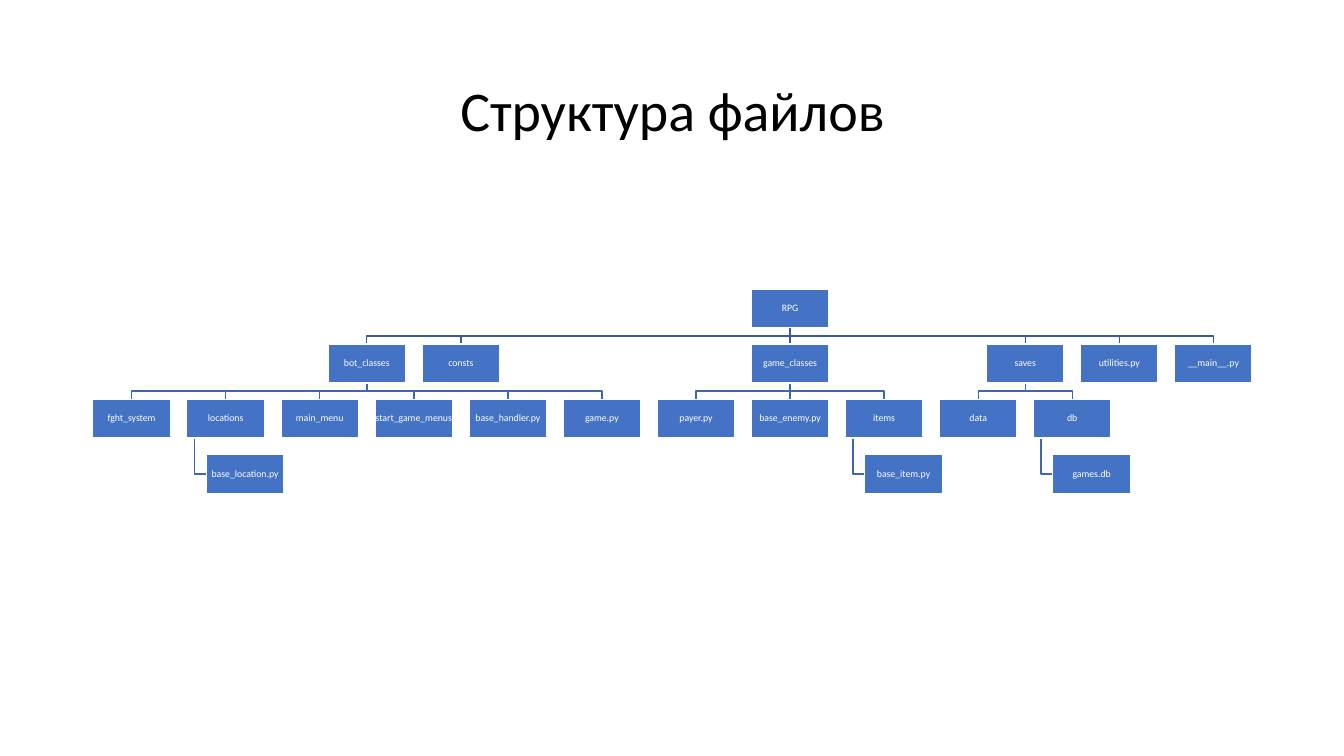
"""Build a slide showing the file structure of a project as a tree."""
import pptx
import pptx.dml.color
import pptx.enum.shapes
import pptx.enum.text
import pptx.oxml
import pptx.util

Inches, Pt = pptx.util.Inches, pptx.util.Pt

TITLE = "Структура файлов"
TREE = ("RPG", [
    ("bot_classes", [
        ("fght_system", []),
        ("locations", [("base_location.py", [])]),
        ("main_menu", []),
        ("start_game_menus", []),
        ("base_handler.py", []),
        ("game.py", []),
    ]),
    ("consts", []),
    ("game_classes", [
        ("payer.py", []),
        ("base_enemy.py", []),
        ("items", [("base_item.py", [])]),
    ]),
    ("saves", [
        ("data", []),
        ("db", [("games.db", [])]),
    ]),
    ("utilities.py", []),
    ("__main__.py", []),
])
COLORS = {"box": "4472C4", "white": "FFFFFF", "title": "000000",
          "root_link": "365B9D", "link": "3E67B2"}
FONT = "Calibri"

LEFT, WIDTH, MIDDLE = 0.92, 11.5, 3.88
LAST_COL = 11.5
BOX_W = WIDTH / (1.21 * LAST_COL + 1)
BOX_H = BOX_W / 2
COL, ROW = 1.21 * BOX_W, 0.71 * BOX_W
TOP = MIDDLE - (3 * ROW + BOX_H) / 2
HANG_IN, HANG_LINE = BOX_W / 4, BOX_W / 10


def color(name):
    return pptx.dml.color.RGBColor.from_string(COLORS[name])


def style_text(tf, size, name):
    tf.vertical_anchor = pptx.enum.text.MSO_ANCHOR.MIDDLE
    p = tf.paragraphs[0]
    p.alignment = pptx.enum.text.PP_ALIGN.CENTER
    p.line_spacing = 0.9
    font = p.runs[0].font
    font.name, font.size = FONT, Pt(size)
    font.color.rgb = color(name)


def place_tree():
    """Return box positions by name and the parent-child links."""
    boxes, links = {}, []
    root, folders = TREE
    next_leaf, folder_cols = 0, []
    for folder, items in folders:
        if items:
            first = next_leaf
            for item, files in items:
                x = LEFT + next_leaf * COL
                boxes[item] = (x, TOP + 2 * ROW)
                links.append((folder, item))
                for file, _ in files:
                    boxes[file] = (x + HANG_IN, TOP + 3 * ROW)
                    links.append((item, file))
                next_leaf += 1
            col = (first + next_leaf - 1) / 2
        else:
            col = folder_cols[-1] + 1
        folder_cols.append(col)
        boxes[folder] = (LEFT + col * COL, TOP + ROW)
        links.append((root, folder))
    boxes[root] = (LEFT + (folder_cols[0] + folder_cols[-1]) / 2 * COL, TOP)
    return boxes, links


def link_points(parent, child):
    (px, py), (cx, cy) = parent, child
    bottom = py + BOX_H
    if cy > TOP + 2.5 * ROW:
        x, y = px + HANG_LINE, cy + BOX_H / 2
        return [(x, bottom), (x, y), (cx, y)]
    x1, x2 = px + BOX_W / 2, cx + BOX_W / 2
    if abs(x1 - x2) < 0.01:
        return [(x1, bottom), (x2, cy)]
    bend = (bottom + cy) / 2
    return [(x1, bottom), (x1, bend), (x2, bend), (x2, cy)]


def add_link(slide, points, name):
    points = [(Inches(x), Inches(y)) for x, y in points]
    if len(points) == 2:
        sp = slide.shapes.add_connector(
            pptx.enum.shapes.MSO_CONNECTOR.STRAIGHT, *points[0], *points[1])
        sp._element.spPr.append(pptx.oxml.parse_xml(
            '<a:effectLst xmlns:a="http://schemas.openxmlformats.org/drawingml/2006/main"/>'))
    else:
        builder = slide.shapes.build_freeform(*points[0], scale=1.0)
        builder.add_line_segments(points[1:], close=False)
        sp = builder.convert_to_shape()
        sp.shadow.inherit = False
        sp.fill.background()
    sp.line.color.rgb = color(name)
    sp.line.width = Pt(1)
    return sp


def add_box(slide, text, x, y):
    sp = slide.shapes.add_shape(pptx.enum.shapes.MSO_SHAPE.RECTANGLE,
                                Inches(x), Inches(y), Inches(BOX_W), Inches(BOX_H))
    sp.shadow.inherit = False
    sp.fill.solid()
    sp.fill.fore_color.rgb = color("box")
    sp.line.color.rgb = color("white")
    sp.line.width = Pt(1)
    tf = sp.text_frame
    tf.text = text
    tf.word_wrap = True
    tf.margin_left = tf.margin_right = tf.margin_top = tf.margin_bottom = 0
    style_text(tf, 7, "white")
    return sp


def main():
    prs = pptx.Presentation()
    prs.slide_width, prs.slide_height = Inches(13.33), Inches(7.5)
    slide = prs.slides.add_slide(prs.slide_layouts[5])

    title = slide.shapes.title
    title.left, title.top = Inches(LEFT), Inches(0.4)
    title.width, title.height = Inches(WIDTH), Inches(1.45)
    title.text_frame.text = TITLE
    style_text(title.text_frame, 40, "title")

    boxes, links = place_tree()
    straight = []
    for parent, child in links:
        points = link_points(boxes[parent], boxes[child])
        name = "root_link" if parent == TREE[0] else "link"
        sp = add_link(slide, points, name)
        if len(points) == 2:
            straight.append((sp, parent, child))

    shapes = {text: add_box(slide, text, x, y) for text, (x, y) in boxes.items()}
    for line, parent, child in straight:
        line.begin_connect(shapes[parent], 2)
        line.end_connect(shapes[child], 0)

    prs.save("out.pptx")


if __name__ == "__main__":
    main()
